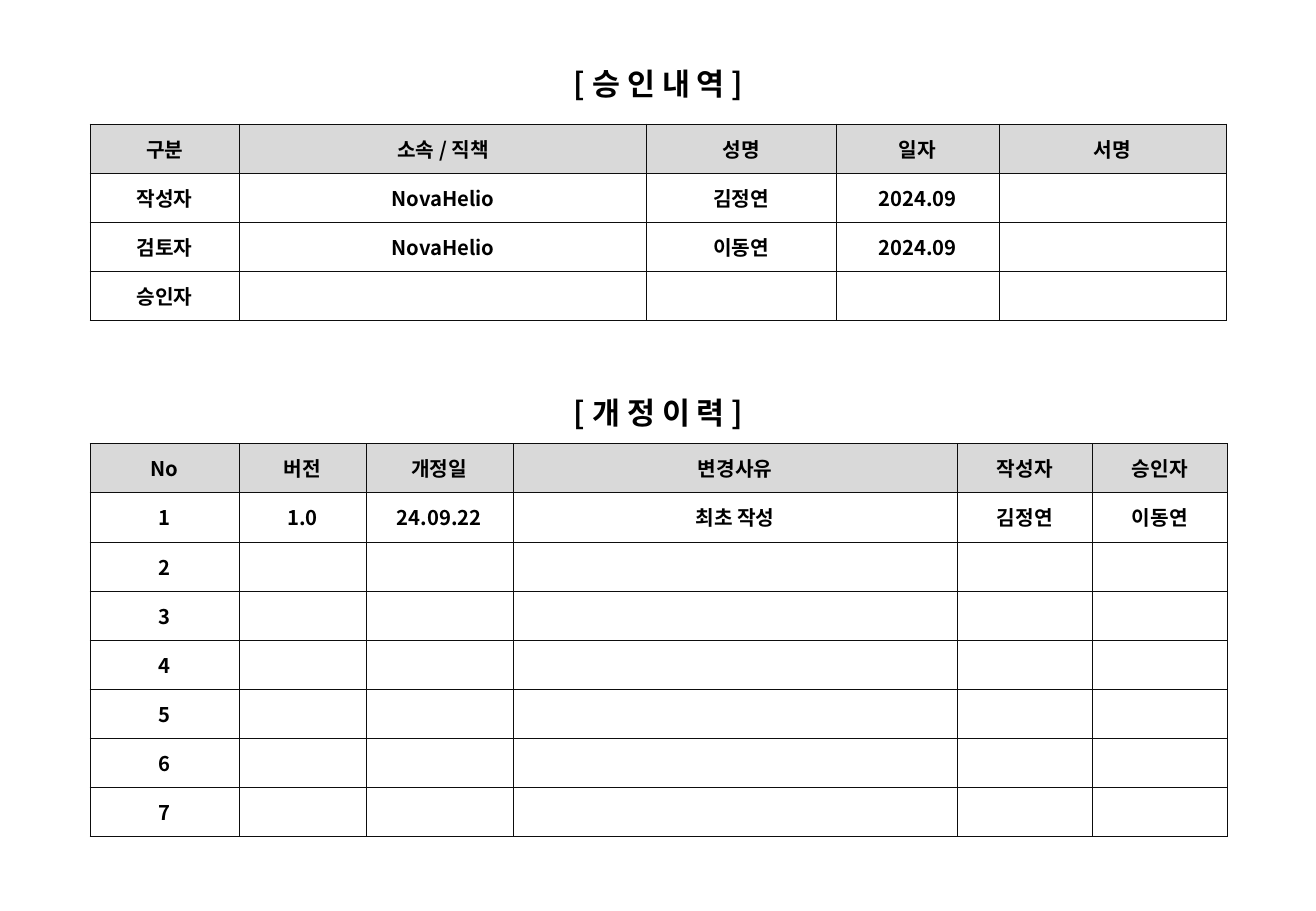
from dataclasses import dataclass

from lxml import etree
from pptx import Presentation
from pptx.dml.color import RGBColor
from pptx.enum import text
from pptx.oxml import ns
from pptx.shapes.base import BaseShape
from pptx.slide import Slide
from pptx.table import _Cell
from pptx.text.text import TextFrame
from pptx.util import Inches, Pt

FONT = "Noto Sans CJK KR"
BLACK = RGBColor(0x00, 0x00, 0x00)
BORDER = RGBColor(0x0D, 0x0D, 0x0D)
HEADER_GRAY = RGBColor(0xD9, 0xD9, 0xD9)

TABLE_LEFT = 0.74
ROW_HEIGHT = 3.24 / 8


@dataclass
class Section:
    heading: str
    heading_top: float
    table_top: float
    columns: list[float]
    rows: list[list[str]]


APPROVAL = Section(
    "[ 승 인 내 역 ]", 0.49, 1.02,
    [1.23, 3.35, 1.56, 1.34, 1.87],
    [
        ["구분", "소속 / 직책", "성명", "일자", "서명"],
        ["작성자", "NovaHelio", "김정연", "2024.09", ""],
        ["검토자", "NovaHelio", "이동연", "2024.09", ""],
        ["승인자", "", "", "", ""],
    ],
)
REVISION = Section(
    "[ 개 정 이 력 ]", 3.2, 3.65,
    [1.23, 1.04, 1.21, 3.66, 1.11, 1.11],
    [
        ["No", "버전", "개정일", "변경사유", "작성자", "승인자"],
        ["1", "1.0", "24.09.22", "최초 작성", "김정연", "이동연"],
        *[[str(number), "", "", "", "", ""] for number in range(2, 8)],
    ],
)


def write(frame: TextFrame, words: str, *, size: float, bold: bool = True,
          color: RGBColor = BLACK) -> None:
    para = frame.paragraphs[0]
    para.alignment = text.PP_ALIGN.CENTER
    if not words:
        return
    span = para.add_run()
    span.text = words
    span.font.size = Pt(size)
    span.font.bold = bold
    span.font.color.rgb = color
    span.font.name = FONT
    east_asian = etree.SubElement(span.font._element, ns.qn("a:ea"))
    east_asian.set("typeface", FONT)


def place_heading(box: BaseShape, section: Section) -> None:
    box.left, box.top = Inches(4.5), Inches(section.heading_top)
    box.width, box.height = Inches(1.84), Inches(0.4)
    frame = box.text_frame
    frame.word_wrap = False
    frame.auto_size = text.MSO_AUTO_SIZE.SHAPE_TO_FIT_TEXT
    frame.vertical_anchor = text.MSO_ANCHOR.TOP
    write(frame, section.heading, size=18)


def add_borders(cell: _Cell) -> None:
    properties = cell._tc.get_or_add_tcPr()
    for side in ("lnL", "lnR", "lnT", "lnB"):
        line = etree.SubElement(properties, ns.qn(f"a:{side}"), w=str(Pt(0.25)))
        fill = etree.SubElement(line, ns.qn("a:solidFill"))
        etree.SubElement(fill, ns.qn("a:srgbClr"), val=str(BORDER))


def add_section_table(page: Slide, section: Section) -> None:
    table = page.shapes.add_table(
        len(section.rows), len(section.columns),
        Inches(TABLE_LEFT), Inches(section.table_top),
        Inches(sum(section.columns)), Inches(ROW_HEIGHT * len(section.rows)),
    ).table
    table.horz_banding = False
    table.first_row = False
    for column, width in zip(table.columns, section.columns):
        column.width = Inches(width)
    for row_index, row in enumerate(section.rows):
        table.rows[row_index].height = Inches(ROW_HEIGHT)
        for column_index, words in enumerate(row):
            cell = table.cell(row_index, column_index)
            cell.vertical_anchor = text.MSO_ANCHOR.MIDDLE
            cell.margin_top = cell.margin_bottom = 0
            add_borders(cell)
            if row_index == 0:
                cell.fill.solid()
                cell.fill.fore_color.rgb = HEADER_GRAY
            else:
                cell.fill.background()
            write(cell.text_frame, words, size=12)


def main() -> None:
    deck = Presentation()
    deck.slide_width, deck.slide_height = Inches(10.83), Inches(7.5)
    page = deck.slides.add_slide(deck.slide_layouts[5])
    place_heading(page.shapes.title, APPROVAL)
    place_heading(page.shapes.add_textbox(0, 0, 0, 0), REVISION)
    for section in (APPROVAL, REVISION):
        add_section_table(page, section)
    deck.save("out.pptx")


if __name__ == "__main__":
    main()
